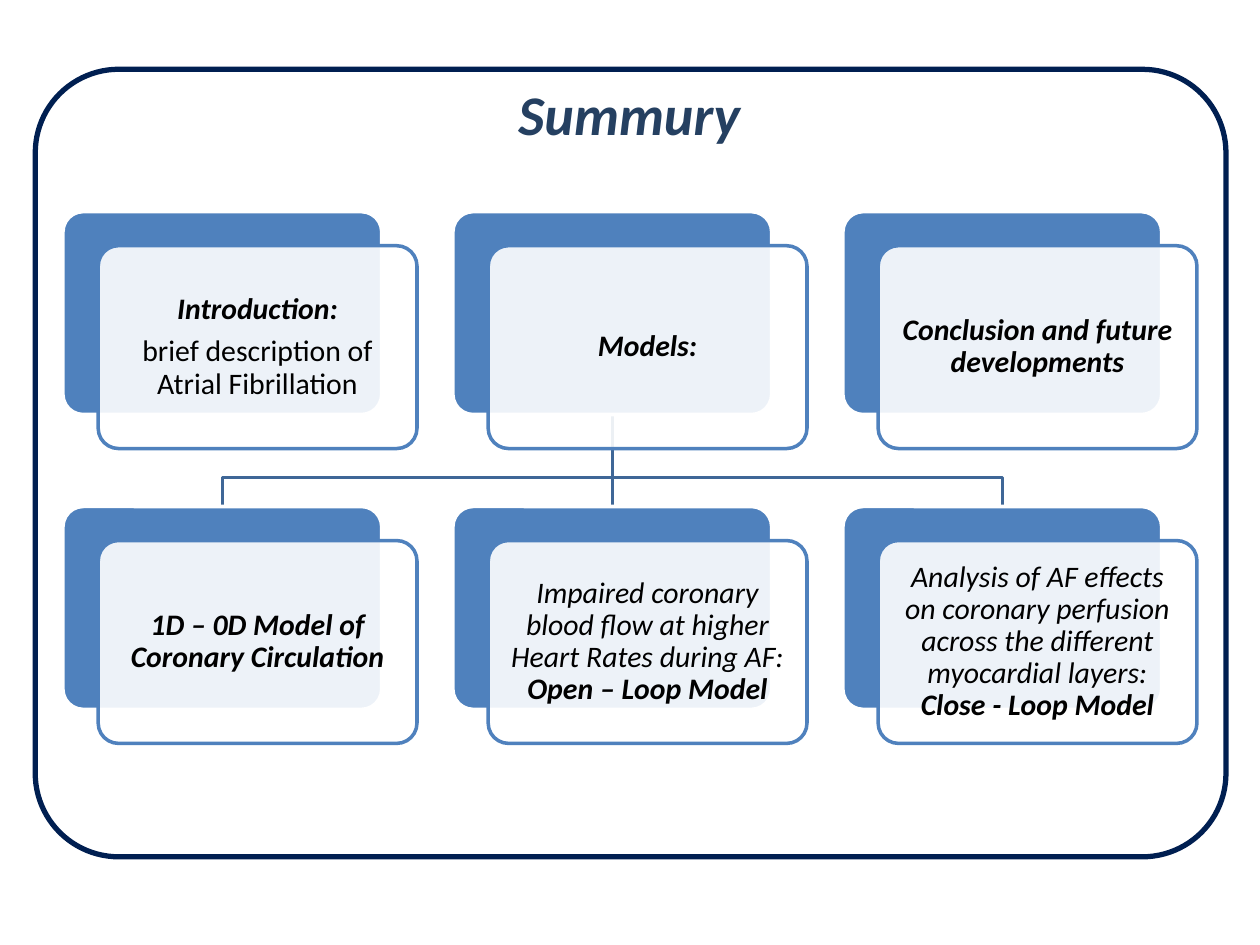
from dataclasses import dataclass

from lxml.etree import SubElement
from pptx import Presentation
from pptx.dml.color import RGBColor
from pptx.enum.shapes import MSO_CONNECTOR, MSO_SHAPE
from pptx.enum.text import MSO_ANCHOR, PP_ALIGN
from pptx.oxml.ns import qn
from pptx.util import Inches, Pt


@dataclass(frozen=True)
class Theme:
    font: str = "Calibri"
    title_size: int = 32
    body_size: int = 17
    title: RGBColor = RGBColor(0x25, 0x40, 0x61)
    frame: RGBColor = RGBColor(0x00, 0x1F, 0x51)
    card: RGBColor = RGBColor(0x4F, 0x81, 0xBD)
    link: RGBColor = RGBColor(0x3F, 0x67, 0x97)
    text: RGBColor = RGBColor(0, 0, 0)
    white: RGBColor = RGBColor(0xFF, 0xFF, 0xFF)


THEME = Theme()
GRID_LEFT, GRID_TOP = 0.5, 1.68
COLUMN_STEP, ROW_STEP = 3.095, 2.34
CARD_WIDTH, CARD_HEIGHT = 2.53, 1.61
OFFSET_X, OFFSET_Y = 0.28, 0.27

# Rows of cards; a card is a list of paragraphs, a paragraph a list of (text, bold, italic).
CARDS = [
    [
        [[("Introduction:", True, True)],
         [("brief description of Atrial Fibrillation", False, False)]],
        [[("Models:", True, True)]],
        [[("Conclusion and future developments", True, True)]],
    ],
    [
        [[("1D – 0D Model of Coronary Circulation", True, True)]],
        [[("Impaired coronary blood flow at higher Heart Rates during AF: ", False, True),
          ("Open – Loop Model", True, True)]],
        [[("Analysis of AF effects on coronary perfusion across the different "
           "myocardial layers: ", False, True),
          ("Close - Loop Model", True, True)]],
    ],
]


def cell_origin(column, row):
    return GRID_LEFT + column * COLUMN_STEP, GRID_TOP + row * ROW_STEP


def set_line(shape, color, width):
    shape.line.color.rgb = color
    shape.line.width = Pt(width)


def add_round_box(slide, left, top, width, height, radius, fill, line, line_width):
    box = slide.shapes.add_shape(MSO_SHAPE.ROUNDED_RECTANGLE, Inches(left), Inches(top),
                                 Inches(width), Inches(height))
    box.adjustments[0] = radius
    box.shadow.inherit = False
    if fill is None:
        box.fill.background()
    else:
        box.fill.solid()
        box.fill.fore_color.rgb = fill
    set_line(box, line, line_width)
    return box


def set_opacity(shape, percent):
    color = shape.fill._xPr.find(qn("a:solidFill"))[0]
    SubElement(color, qn("a:alpha"), val=str(percent * 1000))


def write_paragraphs(frame, paragraphs):
    frame.word_wrap = True
    frame.vertical_anchor = MSO_ANCHOR.MIDDLE
    frame.margin_left = frame.margin_right = Inches(0.07)
    frame.margin_top = frame.margin_bottom = Inches(0.07)
    for index, runs in enumerate(paragraphs):
        paragraph = frame.add_paragraph() if index else frame.paragraphs[0]
        paragraph.alignment = PP_ALIGN.CENTER
        paragraph.line_spacing = 0.9
        paragraph.space_after = Pt(6)
        paragraph.font.name = THEME.font
        paragraph.font.size = Pt(THEME.body_size)
        paragraph.font.color.rgb = THEME.text
        for text, bold, italic in runs:
            run = paragraph.add_run()
            run.text = text
            run.font.bold = bold
            run.font.italic = italic


def add_card(slide, column, row, paragraphs):
    """Draw a solid card with a translucent text card over it; return the solid one."""
    left, top = cell_origin(column, row)
    back = add_round_box(slide, left, top, CARD_WIDTH, CARD_HEIGHT, 0.1,
                         THEME.card, THEME.white, 2)
    front = add_round_box(slide, left + OFFSET_X, top + OFFSET_Y, CARD_WIDTH, CARD_HEIGHT,
                          0.1, THEME.white, THEME.card, 2)
    set_opacity(front, 90)
    write_paragraphs(front.text_frame, paragraphs)
    return back


def card_middle(column):
    return cell_origin(column, 0)[0] + CARD_WIDTH / 2


def add_branch(slide, column):
    """Draw an elbow from the middle card of the top row to a card below."""
    start, end = card_middle(1), card_middle(column)
    top, bottom = GRID_TOP + CARD_HEIGHT, GRID_TOP + ROW_STEP
    bend = bottom - 0.23
    points = [(start, bend), (end, bend), (end, bottom)]
    builder = slide.shapes.build_freeform(Inches(start), Inches(top))
    builder.add_line_segments([(Inches(x), Inches(y)) for x, y in points], close=False)
    branch = builder.convert_to_shape()
    branch.shadow.inherit = False
    branch.fill.background()
    set_line(branch, THEME.link, 2)


def add_trunk(slide):
    middle = Inches(card_middle(1))
    trunk = slide.shapes.add_connector(
        MSO_CONNECTOR.STRAIGHT, middle, Inches(GRID_TOP + CARD_HEIGHT),
        middle, Inches(GRID_TOP + ROW_STEP))
    set_line(trunk, THEME.link, 2)
    SubElement(trunk._element.spPr, qn("a:effectLst"))
    return trunk


def add_title(slide, text):
    title = slide.shapes.title
    title.left, title.top = Inches(3.58), Inches(0.58)
    title.width, title.height = Inches(2.83), Inches(0.64)
    title.text_frame.text = text
    paragraph = title.text_frame.paragraphs[0]
    paragraph.alignment = PP_ALIGN.CENTER
    font = paragraph.font
    font.name, font.size = THEME.font, Pt(THEME.title_size)
    font.bold = font.italic = True
    font.color.rgb = THEME.title


def main():
    presentation = Presentation()
    presentation.slide_width, presentation.slide_height = Inches(10), Inches(7.5)
    slide = presentation.slides.add_slide(presentation.slide_layouts[5])

    add_round_box(slide, 0.28, 0.55, 9.45, 6.25, 0.106, None, THEME.frame, 3)
    add_title(slide, "Summury")
    for column in (0, 2):
        add_branch(slide, column)
    trunk = add_trunk(slide)

    cards = [[add_card(slide, column, row, paragraphs)
              for column, paragraphs in enumerate(row_cards)]
             for row, row_cards in enumerate(CARDS)]
    trunk.begin_connect(cards[0][1], 2)
    trunk.end_connect(cards[1][1], 0)

    presentation.save("out.pptx")


if __name__ == "__main__":
    main()
